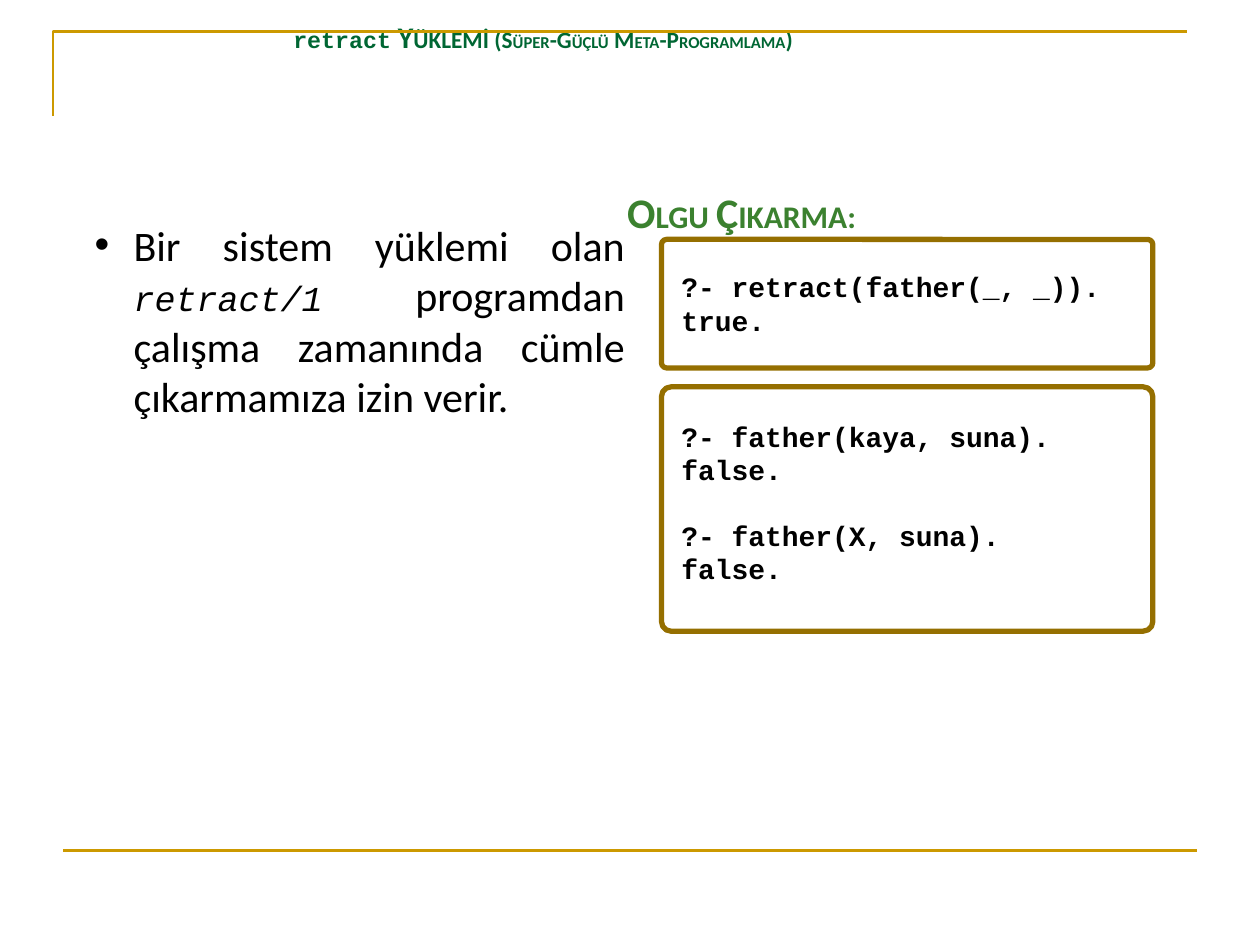
from dataclasses import dataclass

import lxml.etree
import pptx
import pptx.dml.color
import pptx.enum.shapes
import pptx.enum.text
import pptx.oxml.ns
import pptx.util

Inches = pptx.util.Inches
Pt = pptx.util.Pt
qn = pptx.oxml.ns.qn

GOLD, BROWN = "CC9900", "956F00"
DARK_GREEN, GREEN, BLACK = "006633", "3B812F", "000000"
SANS, MONO = "Calibri", "Courier New"


@dataclass
class Span:
    text: str
    size: float
    font: str = SANS
    color: str = BLACK
    bold: bool = False
    italic: bool = False


@dataclass
class CodeBox:
    top: float
    height: float
    text_top: float
    text_height: float
    queries: list[tuple[str, str]]  # query and its answer


def rgb(color: str) -> pptx.dml.color.RGBColor:
    return pptx.dml.color.RGBColor.from_string(color)


def place(shape, left: float, top: float, width: float, height: float) -> None:
    shape.left, shape.top = Inches(left), Inches(top)
    shape.width, shape.height = Inches(width), Inches(height)


def set_frame(frame, wrap: bool = True) -> None:
    frame.word_wrap = wrap
    frame.auto_size = pptx.enum.text.MSO_AUTO_SIZE.NONE
    frame.vertical_anchor = pptx.enum.text.MSO_ANCHOR.TOP


def add_spans(paragraph, spans: list[Span]) -> None:
    for span in spans:
        run = paragraph.add_run()
        run.text = span.text
        run.font.size = Pt(span.size)
        run.font.name = span.font
        run.font.bold = span.bold
        run.font.italic = span.italic
        run.font.color.rgb = rgb(span.color)


def set_outline(shape, color: str, width: float) -> None:
    shape.fill.background()
    shape.line.color.rgb = rgb(color)
    shape.line.width = Pt(width)
    shape.shadow.inherit = False


def add_text_box(slide, left: float, top: float, width: float, height: float, wrap: bool = True):
    box = slide.shapes.add_textbox(*map(Inches, (left, top, width, height)))
    set_frame(box.text_frame, wrap)
    return box.text_frame


def add_code_box(slide, code: CodeBox) -> None:
    border = slide.shapes.add_shape(
        pptx.enum.shapes.MSO_SHAPE.ROUNDED_RECTANGLE,
        *map(Inches, (5.25, code.top, 3.9, code.height)),
    )
    border.adjustments[0] = 0.04
    set_outline(border, BROWN, 3)

    frame = add_text_box(slide, 5.31, code.text_top, 3.69, code.text_height)
    for number, (query, answer) in enumerate(code.queries):
        query_line = frame.add_paragraph() if number else frame.paragraphs[0]
        if number:
            query_line.space_before = Pt(18)  # one line between queries
        add_spans(query_line, [Span(query, 16, MONO, bold=True)])
        add_spans(frame.add_paragraph(), [Span(answer, 16, MONO, bold=True)])


def add_frame_lines(slide) -> None:
    corner = slide.shapes.build_freeform(Inches(0.42), Inches(0.92))
    corner.add_line_segments(
        [(Inches(0.42), Inches(0.25)), (Inches(9.42), Inches(0.25))], close=False
    )
    set_outline(corner.convert_to_shape(), GOLD, 1.5)

    footer = slide.shapes.add_connector(
        pptx.enum.shapes.MSO_CONNECTOR.STRAIGHT, *map(Inches, (0.5, 6.75, 9.5, 6.75))
    )
    footer.line.color.rgb = rgb(GOLD)
    footer.line.width = Pt(1.5)
    lxml.etree.SubElement(footer._element.spPr, qn("a:effectLst"))


def fill_title(title) -> None:
    place(title, 0.02, 0.15, 8.58, 0.81)
    set_frame(title.text_frame)
    line = title.text_frame.paragraphs[0]
    line.alignment = pptx.enum.text.PP_ALIGN.CENTER
    line.line_spacing = 0.8
    add_spans(line, [Span("retract", 13.3, MONO, DARK_GREEN, bold=True)])
    small_caps = [
        (" Y", 17.1), ("ÜKLEMİ (S", 13.3), ("ÜPER", 9.5), ("-G", 13.3), ("ÜÇLÜ", 9.5),
        (" M", 13.3), ("ETA", 9.5), ("-P", 13.3), ("ROGRAMLAMA", 9.5), (")", 13.3),
    ]
    add_spans(line, [Span(text, size, SANS, DARK_GREEN, bold=True) for text, size in small_caps])


def fill_body(body) -> None:
    place(body, 0.65, 1.69, 4.41, 2.1)
    set_frame(body.text_frame)
    definition = body.text_frame.paragraphs[0]
    definition.alignment = pptx.enum.text.PP_ALIGN.JUSTIFY
    definition.space_before, definition.space_after = Pt(0), Pt(6)
    add_spans(definition, [
        Span("Bir sistem yüklemi olan ", 24),
        Span("retract/1", 20, MONO, italic=True),
        Span(" programdan çalışma zamanında cümle çıkarmamıza izin verir.", 24),
    ])
    # Hanging bullet
    properties = definition._p.get_or_add_pPr()
    properties.set("marL", str(Inches(0.31)))
    properties.set("indent", str(-Inches(0.31)))
    bullet_color = lxml.etree.SubElement(properties, qn("a:buClr"))
    lxml.etree.SubElement(bullet_color, qn("a:srgbClr")).set("val", BLACK)
    lxml.etree.SubElement(properties, qn("a:buChar")).set("char", "•")


def main() -> None:
    deck = pptx.Presentation()
    deck.slide_width, deck.slide_height = Inches(10), Inches(7.5)
    slide = deck.slides.add_slide(deck.slide_layouts[1])

    add_frame_lines(slide)

    # Title and definition
    fill_title(slide.shapes.title)
    fill_body(slide.placeholders[1])

    # Queries
    for code in (
        CodeBox(1.9, 1.02, 2.09, 0.64, [("?- retract(father(_, _)).", "true.")]),
        CodeBox(3.07, 1.94, 3.28, 1.44, [
            ("?- father(kaya, suna).", "false."),
            ("?- father(X, suna).", "false."),
        ]),
    ):
        add_code_box(slide, code)

    # Heading above the queries
    heading = add_text_box(slide, 4.88, 1.43, 2.4, 0.5, wrap=False)
    heading_parts = [("O", 24), ("LGU ", 18), ("Ç", 24), ("IKARMA:", 18)]
    add_spans(heading.paragraphs[0],
              [Span(text, size, SANS, GREEN, bold=True) for text, size in heading_parts])

    deck.save("out.pptx")


if __name__ == "__main__":
    main()
